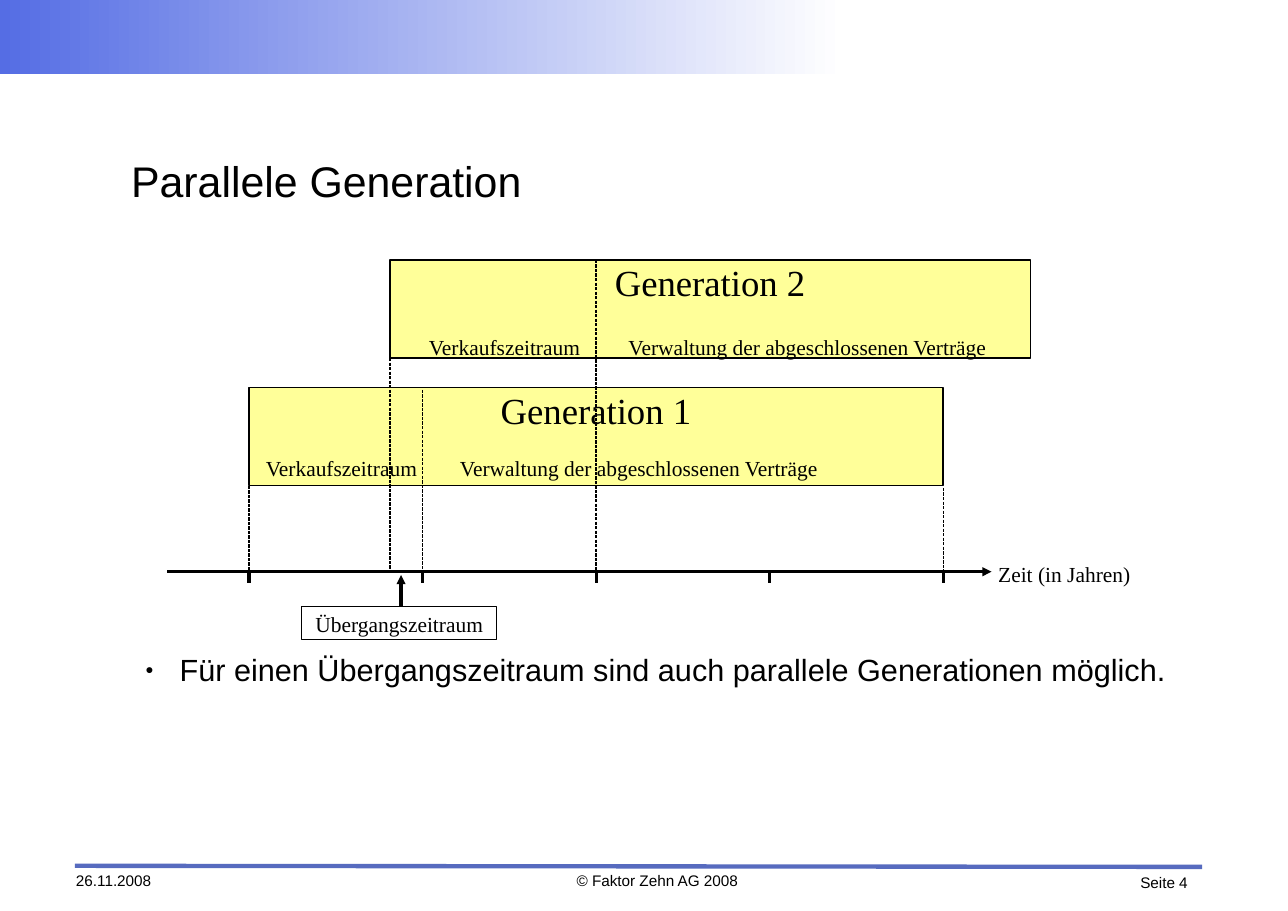
from lxml import etree
from pptx import Presentation, util as u
from pptx.dml.color import RGBColor
from pptx.enum import dml, shapes, text
from pptx.oxml import ns

# Content
TITLE = "Parallele Generation"
BULLET = "Für einen Übergangszeitraum sind auch parallele Generationen möglich."
SALES = "Verkaufszeitraum"
ADMIN = "Verwaltung der abgeschlossenen Verträge"
TRANSITION = "Übergangszeitraum"
AXIS_LABEL = "Zeit (in Jahren)"
# text, left, top, width, alignment
FOOTERS = [
    ("26.11.2008", 0.69, 7.91, 1.17, "LEFT"),
    ("© Faktor Zehn AG 2008", 5.16, 7.91, 1.61, "CENTER"),
    ("Seite 4", 10.0, 7.93, 0.78, "RIGHT"),
]

# Time axis: five evenly spaced ticks
AXIS_Y, FIRST_TICK, TICK_STEP = 5.19, 2.26, 1.575
ticks = [FIRST_TICK + i * TICK_STEP for i in range(5)]
GEN2_START = 3.54

# name, left, right, top, sales label left, admin label left, label top
GENERATIONS = [
    ("Generation 1", ticks[0], ticks[4], 3.52, 2.36, 3.88, 4.13),
    ("Generation 2", GEN2_START, 9.35, 2.36, 3.84, 5.41, 3.03),
]
BAR_HEIGHT = 0.89
# x and top of each dashed line down to the axis
DROPS = [(ticks[0], 4.41), (ticks[1], 3.54), (ticks[4], 4.43),
         (ticks[2], 2.36), (GEN2_START, 3.25)]

SANS, SERIF = "Arial", "Times New Roman"
BLACK, WHITE, YELLOW = "000000", "FFFFFF", "FFFF99"
BANNER_BLUE, RULE_BLUE = "556DE4", "576BBF"

presentation = Presentation()
presentation.slide_width = u.Inches(11.69)
presentation.slide_height = u.Inches(8.27)
slide = presentation.slides.add_slide(presentation.slide_layouts[1])


def paint(color_format, color):
    color_format.rgb = RGBColor.from_string(color)


def place(shape, left, top, width, height):
    shape.left, shape.top = u.Inches(left), u.Inches(top)
    shape.width, shape.height = u.Inches(width), u.Inches(height)


def write(shape, words, size, font=SERIF, align="CENTER", anchor="TOP"):
    frame = shape.text_frame
    frame.word_wrap = True
    frame.auto_size = text.MSO_AUTO_SIZE.NONE
    frame.vertical_anchor = getattr(text.MSO_ANCHOR, anchor)
    frame.margin_left = frame.margin_right = 0
    frame.margin_top = frame.margin_bottom = 0
    paragraph = frame.paragraphs[0]
    paragraph.alignment = getattr(text.PP_ALIGN, align)
    paragraph.space_before = u.Pt(0)
    run = paragraph.add_run()
    run.text = words
    run.font.size, run.font.name = u.Pt(size), font
    paint(run.font.color, BLACK)
    return paragraph


def add_label(words, left, top, width, size=14, **style):
    box = slide.shapes.add_textbox(
        u.Inches(left), u.Inches(top), u.Inches(width), u.Inches(0.22))
    write(box, words, size, **style)


def add_box(left, top, width, height, fill=None):
    shape = slide.shapes.add_shape(
        shapes.MSO_SHAPE.RECTANGLE, u.Inches(left), u.Inches(top),
        u.Inches(width), u.Inches(height))
    shape.shadow.inherit = False
    if fill:
        shape.fill.solid()
        paint(shape.fill.fore_color, fill)
    else:
        shape.fill.background()
    paint(shape.line.color, BLACK)
    shape.line.width = u.Pt(0)
    return shape


def add_line(x1, y1, x2, y2, color=BLACK, width=0, dashed=False, arrow=False):
    connector = slide.shapes.add_connector(
        shapes.MSO_CONNECTOR.STRAIGHT,
        u.Inches(x1), u.Inches(y1), u.Inches(x2), u.Inches(y2))
    paint(connector.line.color, color)
    connector.line.width = u.Pt(width)
    if dashed:
        connector.line.dash_style = dml.MSO_LINE.SQUARE_DOT
    if arrow:
        outline = connector.line._get_or_add_ln()
        etree.SubElement(outline, ns.qn("a:tailEnd"), type="triangle")
    etree.SubElement(connector._element.spPr, ns.qn("a:effectLst"))


# Banner and footer
banner = add_box(0, 0, 7.67, 0.67)
banner.line.fill.background()
banner.fill.gradient()
banner.fill.gradient_angle = 0
for stop, color in zip(banner.fill.gradient_stops, (BANNER_BLUE, WHITE)):
    paint(stop.color, color)
add_line(0.68, 7.86, 10.91, 7.87, RULE_BLUE, 2.83)
for words, left, top, width, align in FOOTERS:
    add_label(words, left, top, width, 10, font=SANS, align=align)

# Title and bullet
title, body = slide.placeholders
place(title, 1.19, 0.95, 9.31, 1.37)
write(title, TITLE, 28, SANS, "LEFT", "MIDDLE")
place(body, 0.69, 5.91, 10.24, 1.14)
properties = write(body, BULLET, 20, SANS, "LEFT")._p.get_or_add_pPr()
properties.set("marL", str(u.Inches(0.94)))
properties.set("indent", str(u.Inches(-0.31)))
bullet_color = etree.SubElement(properties, ns.qn("a:buClr"))
etree.SubElement(bullet_color, ns.qn("a:srgbClr"), val=BLACK)
etree.SubElement(properties, ns.qn("a:buSzPct"), val="45000")
etree.SubElement(properties, ns.qn("a:buChar"), char="●")

# Time axis
add_line(1.52, AXIS_Y, 9, AXIS_Y, arrow=True)
for x in ticks:
    add_line(x, AXIS_Y, x, AXIS_Y + 0.1)
add_label(AXIS_LABEL, 9.06, 5.09, 1.38, align="LEFT")

# Generations
for name, left, right, top, sales_left, admin_left, label_top in GENERATIONS:
    write(add_box(left, top, right - left, BAR_HEIGHT, YELLOW), name, 24)
    add_label(SALES, sales_left, label_top, 1.48)
    add_label(ADMIN, admin_left, label_top, 3.84)
for x, top in DROPS:
    add_line(x, top, x, AXIS_Y + 0.02, width=0.75, dashed=True)

# Transition period
write(add_box(2.74, 5.51, 1.77, 0.3), TRANSITION, 14, anchor="MIDDLE")
add_line(3.64, 5.51, 3.64, 5.22, arrow=True)

presentation.save("out.pptx")
